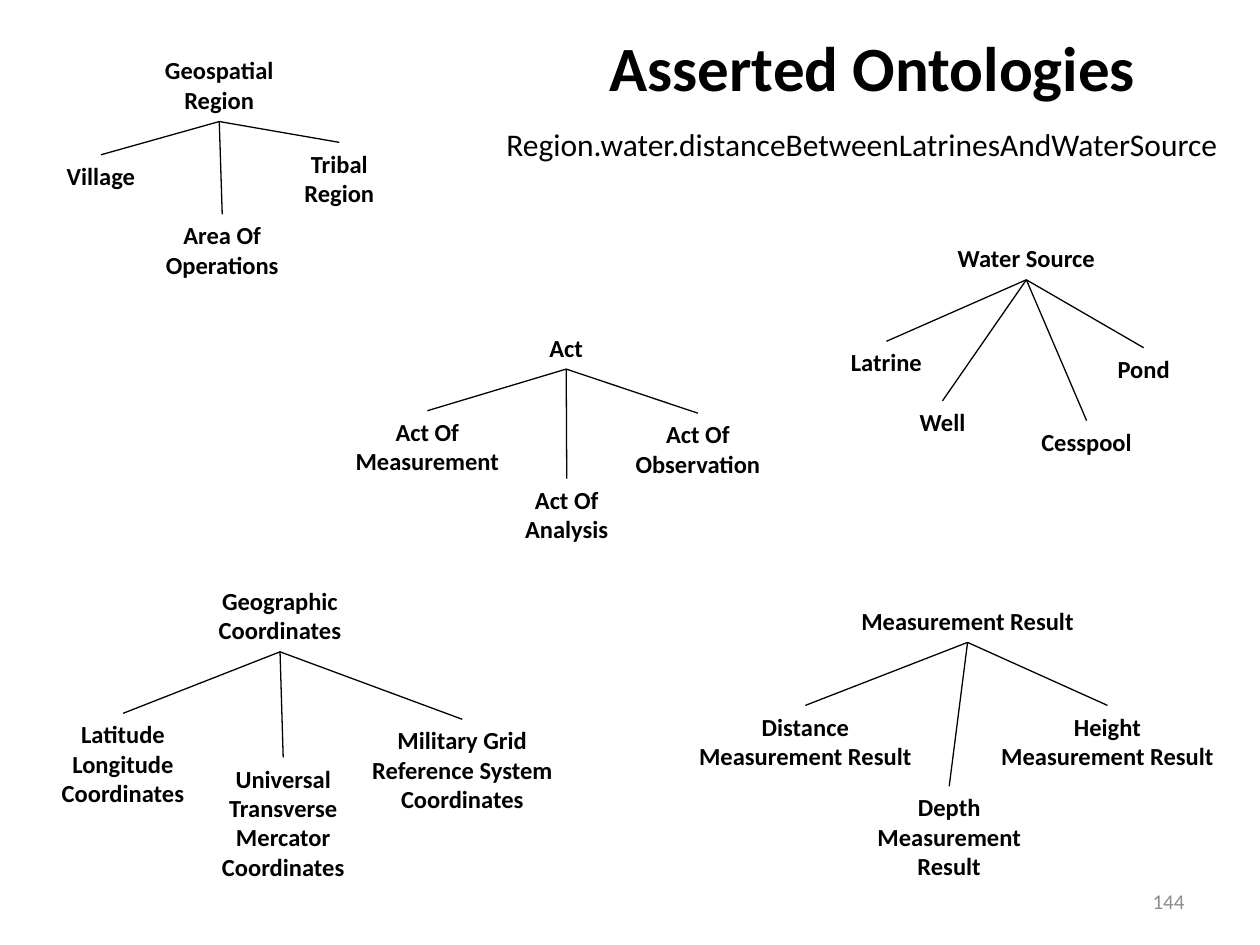
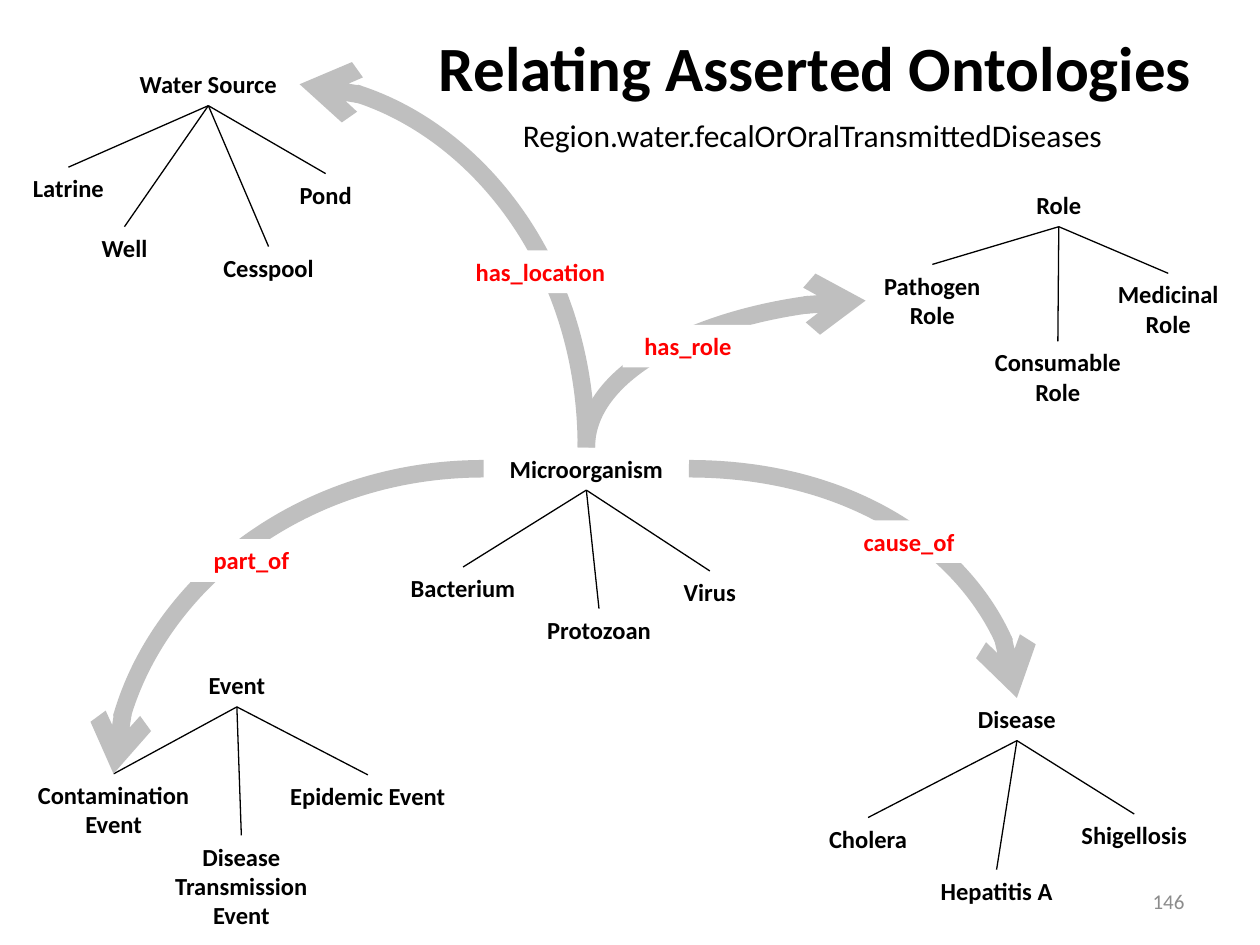
from pptx import Presentation
from pptx.dml.color import RGBColor
from pptx.enum.shapes import MSO_CONNECTOR as Connector, MSO_SHAPE as Shape
from pptx.enum.text import MSO_ANCHOR as Anchor, MSO_AUTO_SIZE as AutoSize, PP_ALIGN as Align
from pptx.oxml.ns import qn
from pptx.oxml.xmlchemy import OxmlElement
from pptx.util import Cm, Pt

# Shared look
COLORS = {"ink": "000000", "relation": "FF0000", "arrow": "BFBFBF",
          "page": "8C8C8C", "paper": "FFFFFF"}
FORMATS = {
    "title": {"size": Pt(36), "bold": True, "color": "ink"},
    "subtitle": {"size": Pt(18), "bold": False, "color": "ink"},
    "term": {"size": Pt(14), "bold": True, "color": "ink"},
    "relation": {"size": Pt(14), "bold": True, "color": "relation"},
    "page": {"size": Pt(12), "bold": False, "color": "page"},
}
FONT = "Calibri"

# Trees: root first, then children, each as (text, left, top, width, lines) in cm
GEOSPATIAL_REGION = [
    ("Geospatial Region", 2.87, 0.99, 3.1, 2),
    ("Village", 0.74, 3.12, 2.59, 1),
    ("Area Of Operations", 2.64, 4.32, 3.68, 2),
    ("Tribal Region", 5.61, 2.87, 2.46, 2),
]
ACT = [
    ("Act", 10.16, 6.58, 2.51, 1),
    ("Act Of Measurement", 6.86, 8.28, 3.51, 2),
    ("Act Of Analysis", 10.08, 9.65, 2.69, 2),
    ("Act Of Observation", 12.52, 8.33, 3.1, 2),
]
MEASUREMENT_RESULT = [
    ("Measurement Result", 16.89, 12.09, 5.23, 1),
    ("Distance Measurement Result", 13.77, 14.22, 4.93, 2),
    ("Depth Measurement Result", 16.81, 15.85, 4.65, 3),
    ("Height Measurement Result", 19.91, 14.22, 4.83, 2),
]
GEOGRAPHIC_COORDINATES = [
    ("Geographic Coordinates", 3.56, 11.68, 4.17, 2),
    ("Latitude Longitude Coordinates", 0.74, 14.38, 3.48, 3),
    ("Universal Transverse Mercator Coordinates", 3.45, 15.27, 4.52, 4),
    ("Military Grid Reference System Coordinates", 7.06, 14.5, 4.52, 3),
]
MICROORGANISM = [
    ("Microorganism", 9.75, 9.02, 4.14, 1),
    ("Bacterium", 7.85, 11.43, 2.97, 1),
    ("Protozoan", 10.59, 12.27, 2.97, 1),
    ("Virus", 13.08, 11.51, 2.46, 1),
]
ROLE = [
    ("Role", 20.09, 3.71, 2.51, 1),
    ("Pathogen Role", 17.45, 5.33, 2.69, 2),
    ("Consumable Role", 19.71, 6.88, 3.23, 2),
    ("Medicinal Role", 22, 5.51, 3.1, 2),
]
DISEASE = [
    ("Disease", 19.23, 14.07, 2.54, 1),
    ("Cholera", 16.13, 16.48, 2.74, 1),
    ("Hepatitis A", 18.67, 17.53, 2.84, 1),
    ("Shigellosis", 21.29, 16.41, 3.15, 1),
]
EVENT = [
    ("Event", 2.69, 13.39, 4.17, 1),
    ("Contamination Event", 0.41, 15.6, 3.76, 2),
    ("Disease Transmission Event", 3.2, 16.84, 3.33, 3),
    ("Epidemic Event", 5.36, 15.62, 4.11, 1),
]


def water_source(left, top):
    """The water source tree, used on both slides, with its root at left, top."""
    return [
        ("Water Source", left, top, 3.68, 1),
        ("Latrine", left - 1.96, top + 2.1, 1.96, 1),
        ("Well", left - 1.02, top + 3.3, 2.34, 1),
        ("Cesspool", left + 1.67, top + 3.7, 2.77, 1),
        ("Pond", left + 3.15, top + 2.23, 2.11, 1),
    ]


# Text
def write(shape, text, style, align=Align.CENTER, anchor=Anchor.TOP, auto_size=AutoSize.NONE):
    frame = shape.text_frame
    frame.text = text
    settings = {"word_wrap": True, "auto_size": auto_size, "vertical_anchor": anchor}
    for name, value in settings.items():
        setattr(frame, name, value)
    paragraph = frame.paragraphs[0]
    paragraph.alignment = align
    font = paragraph.runs[0].font
    font.name = FONT
    for name, value in FORMATS[style].items():
        if name == "color":
            font.color.rgb = RGBColor.from_string(COLORS[value])
        else:
            setattr(font, name, value)


def add_text(shapes, text, style, left, top, width, height, **layout):
    shape = shapes.add_textbox(Cm(left), Cm(top), Cm(width), Cm(height))
    write(shape, text, style, **layout)
    return shape


def term_height(lines):
    return 0.26 + 0.6 * lines


# Lines and arrows
def anchor_point(shape, side):
    across, down = {"top": (0.5, 0), "bottom": (0.5, 1),
                    "left": (0, 0.5), "right": (1, 0.5)}[side]
    return int(shape.left + across * shape.width), int(shape.top + down * shape.height)


def add_line(shapes, kind, start, end, color, width):
    connector = shapes.add_connector(kind, *start, *end)
    connector.line.color.rgb = RGBColor.from_string(COLORS[color])
    connector.line.width = Pt(width)
    connector._element.spPr.append(OxmlElement("a:effectLst"))
    return connector


def add_curved_arrow(slide, start, end, leaves_upward=False):
    """A quarter curve that leaves sideways, or upward when turned by 270 degrees."""
    if leaves_upward:
        across, rise = end[0] - start[0], start[1] - end[1]
        middle_x, middle_y = (start[0] + end[0]) // 2, (start[1] + end[1]) // 2
        start = middle_x - rise // 2, middle_y - across // 2
        end = middle_x + rise // 2, middle_y + across // 2
    connector = add_line(slide.shapes, Connector.CURVE, start, end, "arrow", 10)
    properties = connector._element.spPr
    properties.find(qn("a:prstGeom")).set("prst", "curvedConnector2")
    if leaves_upward:
        properties.find(qn("a:xfrm")).set("rot", str(270 * 60000))
    tail = OxmlElement("a:tailEnd")
    tail.set("type", "arrow")
    properties.find(qn("a:ln")).append(tail)


# Parts of the slides
def add_tree(slide, terms):
    """Draw the terms as one group and return their boxes by text."""
    shapes = slide.shapes.add_group_shape().shapes
    boxes = {}
    for text, left, top, width, lines in terms:
        boxes[text] = add_text(shapes, text, "term", left, top, width, term_height(lines),
                               auto_size=AutoSize.SHAPE_TO_FIT_TEXT)
    root, *children = boxes.values()
    for child in children:
        add_line(shapes, Connector.STRAIGHT, anchor_point(child, "top"),
                 anchor_point(root, "bottom"), "ink", 0.75)
    return boxes


def add_relation(slide, text, left, top, width):
    shape = slide.shapes.add_shape(Shape.RECTANGLE, Cm(left), Cm(top),
                                   Cm(width), Cm(term_height(1)))
    shape.shadow.inherit = False
    shape.fill.solid()
    shape.fill.fore_color.rgb = RGBColor.from_string(COLORS["paper"])
    shape.line.fill.background()
    write(shape, text, "relation", auto_size=AutoSize.SHAPE_TO_FIT_TEXT)


def add_slide(presentation, title, left, width, page):
    slide = presentation.slides.add_slide(presentation.slide_layouts[5])
    shape = slide.shapes.title
    place = {"left": left, "top": 0.05, "width": width, "height": 2.59}
    for name, value in place.items():
        setattr(shape, name, Cm(value))
    write(shape, title, "title", anchor=Anchor.MIDDLE)
    add_text(slide.shapes, page, "page", 18.21, 17.65, 5.92, 1.02,
             align=Align.RIGHT, anchor=Anchor.MIDDLE)
    return slide


def build_asserted(presentation):
    slide = add_slide(presentation, "Asserted Ontologies", 9.93, 15.32, "144")
    add_text(slide.shapes, "Region.water.distanceBetweenLatrinesAndWaterSource", "subtitle",
             9.96, 2.39, 15.24, 1.02, align=Align.LEFT)
    for terms in (GEOSPATIAL_REGION, water_source(18.85, 4.78), ACT,
                  MEASUREMENT_RESULT, GEOGRAPHIC_COORDINATES):
        add_tree(slide, terms)


def build_relating(presentation):
    slide = add_slide(presentation, "Relating Asserted Ontologies", 7.62, 17.63, "146")
    add_text(slide.shapes, "Region.water.fecalOrOralTransmittedDiseases", "subtitle",
             8.76, 2.21, 15.24, 1.02)
    boxes = {}
    for terms in (MICROORGANISM, water_source(2.36, 1.27), ROLE, DISEASE, EVENT):
        boxes.update(add_tree(slide, terms))

    # Arrows from the microorganism to the related terms
    for from_side, target, to_side in (("top", "Pathogen Role", "left"),
                                       ("top", "Water Source", "right"),
                                       ("right", "Disease", "top"),
                                       ("left", "Contamination Event", "top")):
        add_curved_arrow(slide, anchor_point(boxes["Microorganism"], from_side),
                         anchor_point(boxes[target], to_side),
                         leaves_upward=from_side == "top")

    # Relation names over the arrows
    for relation in (("has_role", 12.55, 6.55, 2.64), ("has_location", 9.27, 5.05, 3.25),
                     ("part_of", 3.71, 10.87, 2.72), ("cause_of", 16.94, 10.49, 2.77)):
        add_relation(slide, *relation)


def main():
    presentation = Presentation()
    presentation.slide_width, presentation.slide_height = Cm(25.4), Cm(19.05)
    build_asserted(presentation)
    build_relating(presentation)
    presentation.save("out.pptx")


if __name__ == "__main__":
    main()
